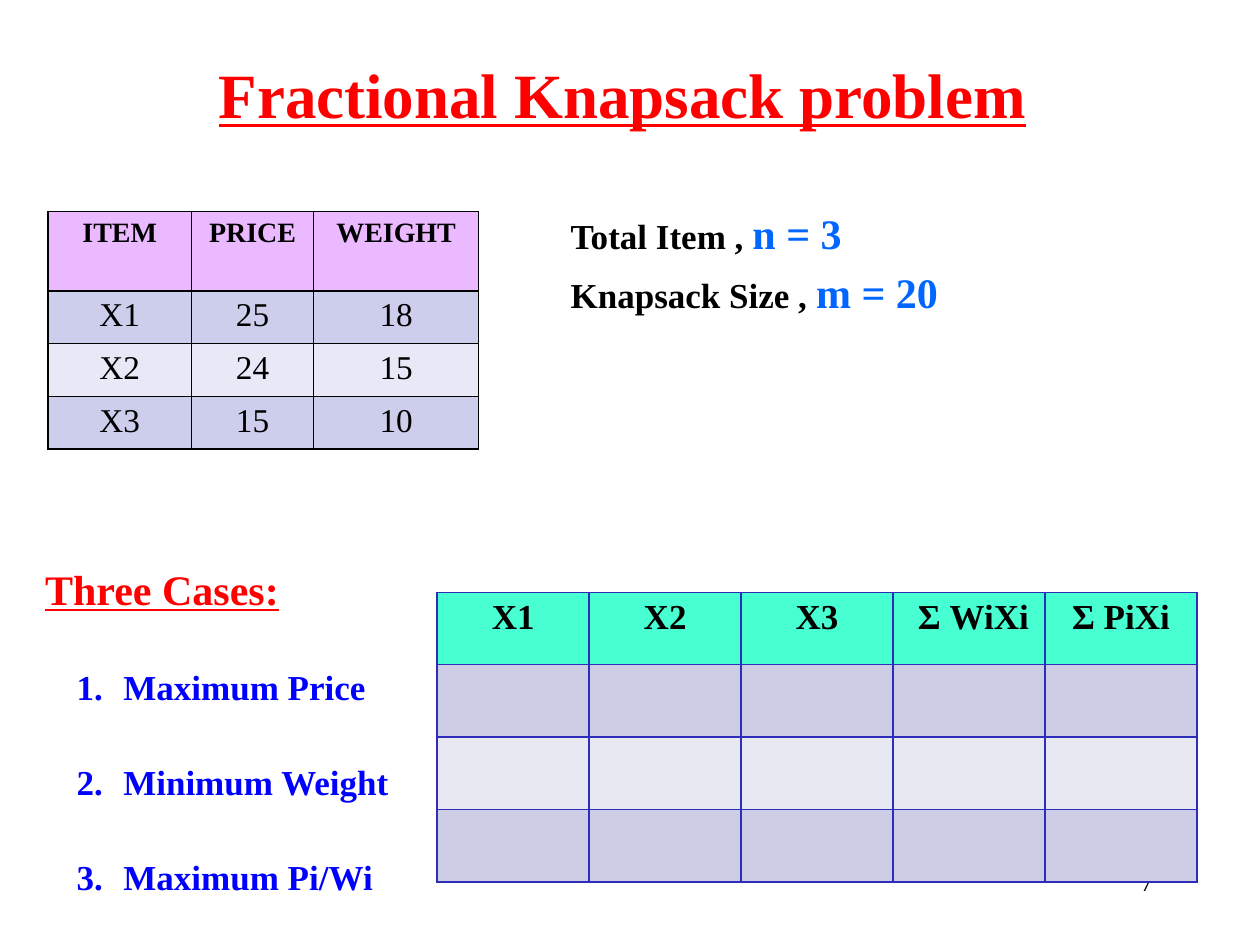
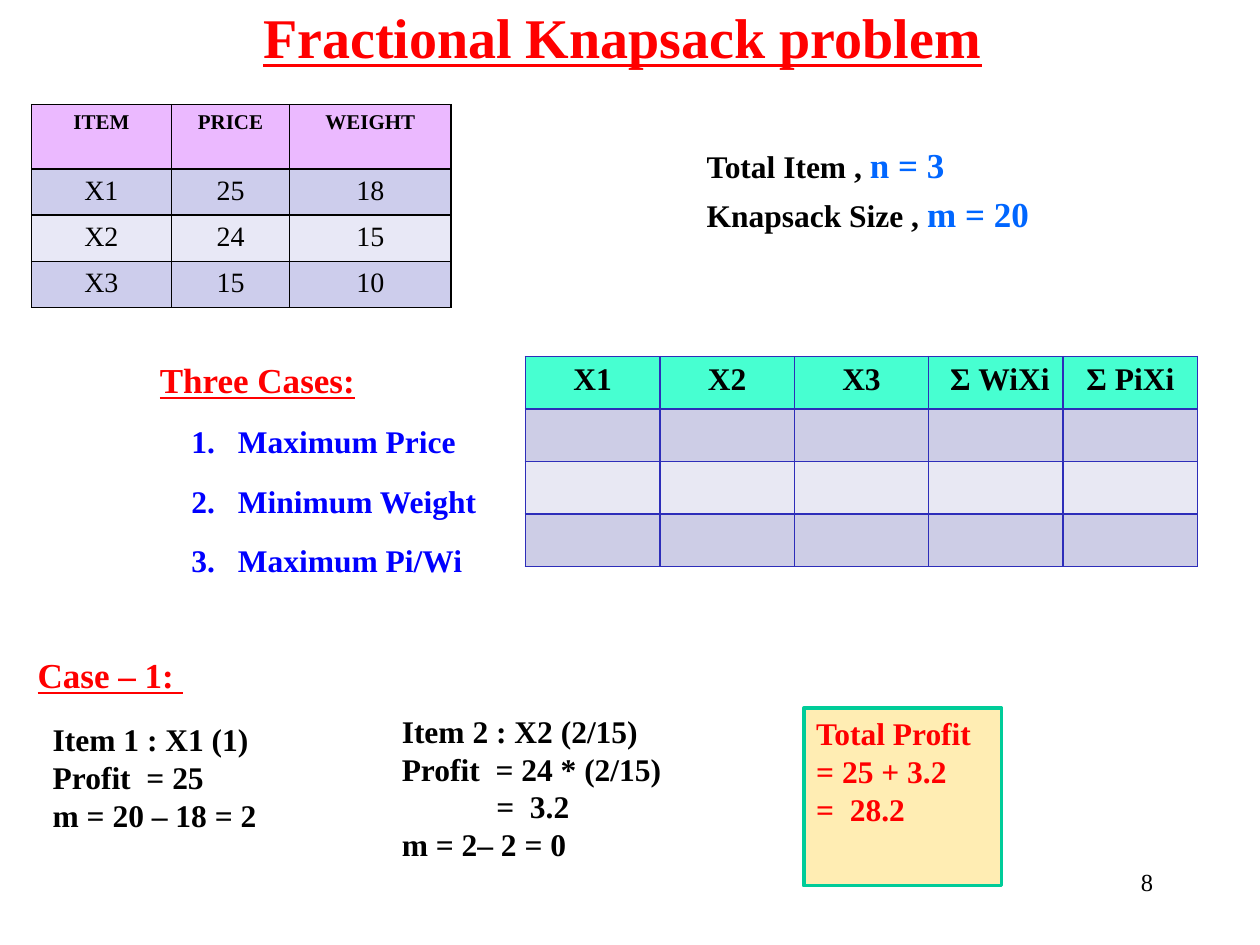
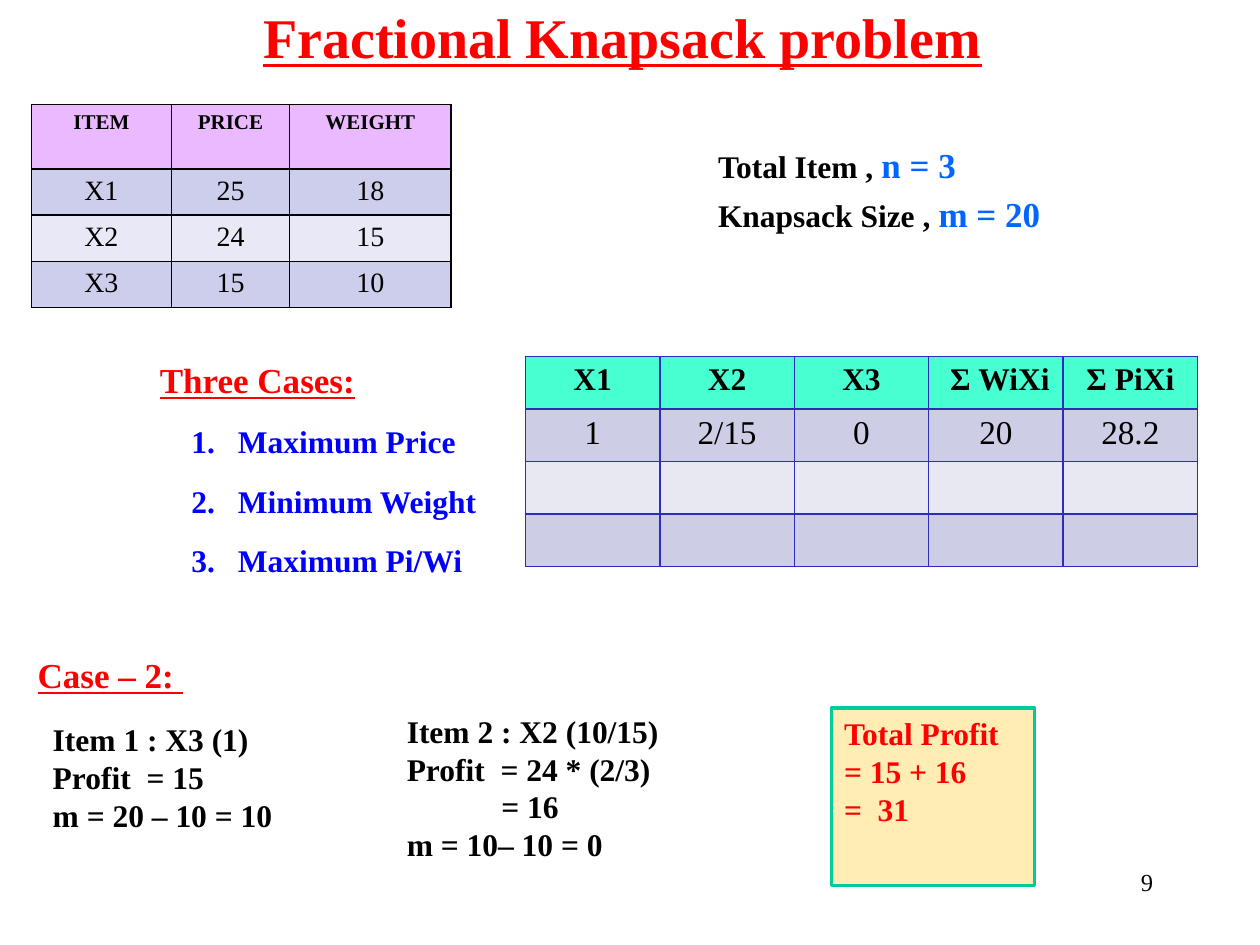
from dataclasses import dataclass
from typing import Optional

from pptx import Presentation, util as u
from pptx.dml.color import RGBColor
from pptx.enum import shapes, text
from pptx.oxml import ns, xmlchemy

WIDTH, HEIGHT = u.Inches(10), u.Inches(7.5)
FONT = "Times New Roman"
BLACK, RED, BLUE, SKY = "000000", "FF0000", "0000FF", "0066FF"
CREAM, GREEN = "FFEDB3", "00CC99"
LEFT, CENTER, RIGHT = text.PP_ALIGN.LEFT, text.PP_ALIGN.CENTER, text.PP_ALIGN.RIGHT

ITEMS = [
    ["ITEM", "PRICE", "WEIGHT"],
    ["X1", "25", "18"],
    ["X2", "24", "15"],
    ["X3", "15", "10"],
]
RESULT_HEAD = ["X1", "X2", "X3", " Σ WiXi", "Σ PiXi"]
CASES = ["Maximum Price", "Minimum Weight", "Maximum Pi/Wi"]


@dataclass(frozen=True)
class Area:
    left: float
    top: float
    width: float = 0
    height: float = 0


@dataclass(frozen=True)
class Run:
    words: str
    size: float
    color: str = BLACK
    bold: bool = True
    underline: bool = False


@dataclass(frozen=True)
class Para:
    runs: list[Run]
    align: text.PP_ALIGN = LEFT
    margin: float = 0
    hang: float = 0
    before: float = 0
    spacing: Optional[float] = None
    number_color: str = ""


@dataclass(frozen=True)
class TableStyle:
    border: str
    bands: tuple[str, str, str]


@dataclass(frozen=True)
class Layout:
    title: Area
    title_size: int
    items: Area
    item_columns: list[float]
    item_rows: list[float]
    item_sizes: tuple[int, int]
    facts_top: float
    fact_sizes: tuple[int, int]
    results: Area
    result_column: float
    result_row: float
    result_size: int
    cases: Area
    heading_size: int
    case_size: int
    case_spacing: float
    case_before: float


@dataclass(frozen=True)
class Step:
    left: float
    width: float
    lines: list[str]


@dataclass(frozen=True)
class CaseWork:
    heading: str
    first: Step
    second: Step
    total: Step


@dataclass(frozen=True)
class Page:
    number: int
    layout: Layout
    facts_left: float
    answers: list[str]
    work: Optional[CaseWork] = None


ITEM_STYLE = TableStyle(BLACK, ("EBB9FF", "CDCDEC", "E8E8F6"))
RESULT_STYLE = TableStyle("2D2DB9", ("47FFD1", "CDCDE6", "E8E8F3"))

LARGE = Layout(
    title=Area(3.8, 0, 91.2, 19.73), title_size=36,
    items=Area(3.8, 22.4), item_columns=[11.4, 9.7, 13.1],
    item_rows=[8.4] + [5.57] * 3, item_sizes=(16, 19),
    facts_top=21.33, fact_sizes=(20, 24),
    results=Area(34.7, 62.67), result_column=12.06, result_row=7.67, result_size=20,
    cases=Area(0.1, 58.93, 32.5, 38.93), heading_size=24, case_size=20,
    case_spacing=2, case_before=6,
)
COMPACT = Layout(
    title=Area(3.8, 0, 91.2, 7.73), title_size=32,
    items=Area(2.5, 11.07), item_columns=[11.1, 9.4, 12.8],
    item_rows=[6.8] + [4.9] * 3, item_sizes=(12, 16),
    facts_top=14.53, fact_sizes=(18, 20),
    results=Area(41.7, 37.73), result_column=10.67, result_row=5.55, result_size=18,
    cases=Area(9.2, 37.33, 31.7, 26), heading_size=20, case_size=18,
    case_spacing=1.5, case_before=1.5,
)

PAGES = [
    Page(7, LARGE, 44.3, []),
    Page(8, COMPACT, 55.1, [], CaseWork(
        "Case – 1: ",
        Step(2, 19.6, ["Item 1 : X1 (1)", "Profit  = 25", "m = 20 – 18 = 2"]),
        Step(29.7, 24.1, ["Item 2 : X2 (2/15)", "Profit  = 24 * (2/15)", "=  3.2", "m = 2– 2 = 0"]),
        Step(63.8, 15.7, ["Total Profit", "= 25 + 3.2", "=  28.2"]),
    )),
    Page(9, COMPACT, 56, ["1", "2/15", "0", "20", "28.2"], CaseWork(
        "Case – 2: ",
        Step(2, 20.9, ["Item 1 : X3 (1)", "Profit  = 15", "m = 20 – 10 = 10"]),
        Step(30.1, 23.5, ["Item 2 : X2 (10/15)", "Profit  = 24 * (2/3)", "= 16", "m = 10– 10 = 0"]),
        Step(66, 16.1, ["Total Profit", "= 15 + 16", "=  31"]),
    )),
]


def rgb(color: str) -> RGBColor:
    return RGBColor.from_string(color)


def across(percent: float) -> int:
    return round(WIDTH * percent / 100)


def down(percent: float) -> int:
    return round(HEIGHT * percent / 100)


def place(area: Area) -> tuple[int, int, int, int]:
    return across(area.left), down(area.top), across(area.width), down(area.height)


def add_child(parent, tag: str, **attributes: str):
    child = parent.makeelement(ns.qn(tag), attributes)
    parent.append(child)
    return child


def add_run(p, words: str, *, size: float, color: str = BLACK,
            bold: bool = True, underline: bool = False) -> None:
    r = p.add_run()
    r.text = words
    r.font.name = FONT
    r.font.size = u.Pt(size)
    r.font.bold = bold
    r.font.underline = underline
    r.font.color.rgb = rgb(color)


def fill_frame(tf, paras: list[Para]) -> None:
    tf.word_wrap = True
    for i, para in enumerate(paras):
        p = tf.add_paragraph() if i else tf.paragraphs[0]
        pPr = p._p.get_or_add_pPr()
        pPr.set("marL", str(across(para.margin)))
        pPr.set("indent", str(-across(para.hang)))
        if para.number_color:
            add_child(add_child(pPr, "a:buClr"), "a:srgbClr", val=para.number_color)
            add_child(pPr, "a:buFont", typeface=FONT)
            add_child(pPr, "a:buAutoNum", type="arabicPeriod")
        p.alignment = para.align
        if para.before:
            p.space_before = u.Pt(para.before)
        if para.spacing:
            p.line_spacing = para.spacing
        for run in para.runs:
            add_run(p, run.words, size=run.size, color=run.color,
                    bold=run.bold, underline=run.underline)


def add_text(s, area: Area, paras: list[Para], middle: bool = False) -> None:
    tf = s.shapes.add_textbox(*place(area)).text_frame
    if middle:
        tf.vertical_anchor = text.MSO_ANCHOR.MIDDLE
    fill_frame(tf, paras)


def style_cell(cell, border: str, fill: str) -> None:
    tcPr = cell._tc.get_or_add_tcPr()
    for side in ("a:lnL", "a:lnR", "a:lnT", "a:lnB"):
        line = add_child(tcPr, side, w=str(u.Pt(1)))
        add_child(add_child(line, "a:solidFill"), "a:srgbClr", val=border)
    cell.fill.solid()
    cell.fill.fore_color.rgb = rgb(fill)


def add_grid(s, corner: Area, columns: list[float], rows: list[float],
             values: list[list[str]], sizes: tuple[int, int], style: TableStyle) -> None:
    area = Area(corner.left, corner.top, sum(columns), sum(rows))
    table = s.shapes.add_table(len(rows), len(columns), *place(area)).table
    table.horz_banding = False
    for column, width in zip(table.columns, columns):
        column.width = across(width)
    for i, height in enumerate(rows):
        table.rows[i].height = down(height)
        fill = style.bands[0] if i == 0 else style.bands[2 - i % 2]
        for j in range(len(columns)):
            cell = table.cell(i, j)
            style_cell(cell, style.border, fill)
            if i < len(values) and values[i]:
                run = Run(values[i][j], sizes[min(i, 1)], bold=i == 0)
                fill_frame(cell.text_frame, [Para([run], CENTER)])


def add_facts(s, page: Page) -> None:
    label, value = page.layout.fact_sizes
    facts = [("Total Item , ", "n = 3"), ("Knapsack Size , ", "m = 20")]
    paras = [Para([Run(name, label), Run(amount, value, SKY)], before=value / 5 * i)
             for i, (name, amount) in enumerate(facts)]
    add_text(s, Area(page.facts_left, page.layout.facts_top, 39.9, 13.2), paras)


def add_cases(s, layout: Layout) -> None:
    heading = Para([Run("Three Cases:", layout.heading_size, RED, underline=True)], margin=2.5)
    cases = [Para([Run(case, layout.case_size, BLUE)], margin=8.7, hang=3.7,
                  before=layout.case_before, spacing=layout.case_spacing, number_color=BLUE)
             for case in CASES]
    add_text(s, layout.cases, [heading] + cases)


def step_paras(lines: list[str], color: str = BLACK, margin: float = 0,
               equals_margin: float = 0, before: float = 0) -> list[Para]:
    return [Para([Run(line, 18, color)],
                 margin=equals_margin if line.startswith("=") else margin,
                 before=0 if i else before)
            for i, line in enumerate(lines)]


def add_work(s, work: CaseWork) -> None:
    heading = Para([Run(work.heading, 20, RED, underline=True)])
    add_text(s, Area(work.first.left, 68.53, work.first.width, 26),
             [heading] + step_paras(work.first.lines, margin=1.2, before=14))
    add_text(s, Area(work.second.left, 74.67, work.second.width, 22.4),
             step_paras(work.second.lines, margin=1.2, equals_margin=8.7))
    total = Area(work.total.left, 74.93, work.total.width, 18.8)
    sp = s.shapes.add_shape(shapes.MSO_SHAPE.RECTANGLE, *place(total))
    sp.shadow.inherit = False
    sp.fill.solid()
    sp.fill.fore_color.rgb = rgb(CREAM)
    sp.line.color.rgb = rgb(GREEN)
    sp.line.width = u.Pt(2)
    sp.text_frame.vertical_anchor = text.MSO_ANCHOR.TOP
    fill_frame(sp.text_frame, step_paras(work.total.lines, RED))


def add_page(prs, page: Page) -> None:
    s = prs.slides.add_slide(prs.slide_layouts[6])
    layout = page.layout
    title = Run("Fractional Knapsack problem", layout.title_size, RED, underline=True)
    add_text(s, layout.title, [Para([title], CENTER)], middle=True)
    add_grid(s, layout.items, layout.item_columns, layout.item_rows,
             ITEMS, layout.item_sizes, ITEM_STYLE)
    number = Run(str(page.number), 14, bold=False)
    add_text(s, Area(71.7, 91.07, 20.8, 6.67), [Para([number], RIGHT)])
    add_facts(s, page)
    add_grid(s, layout.results, [layout.result_column] * 5, [layout.result_row] * 4,
             [RESULT_HEAD, page.answers], (layout.result_size, 19), RESULT_STYLE)
    add_cases(s, layout)
    if page.work:
        add_work(s, page.work)


def main() -> None:
    prs = Presentation()
    prs.slide_width, prs.slide_height = WIDTH, HEIGHT
    for page in PAGES:
        add_page(prs, page)
    prs.save("out.pptx")


if __name__ == "__main__":
    main()
